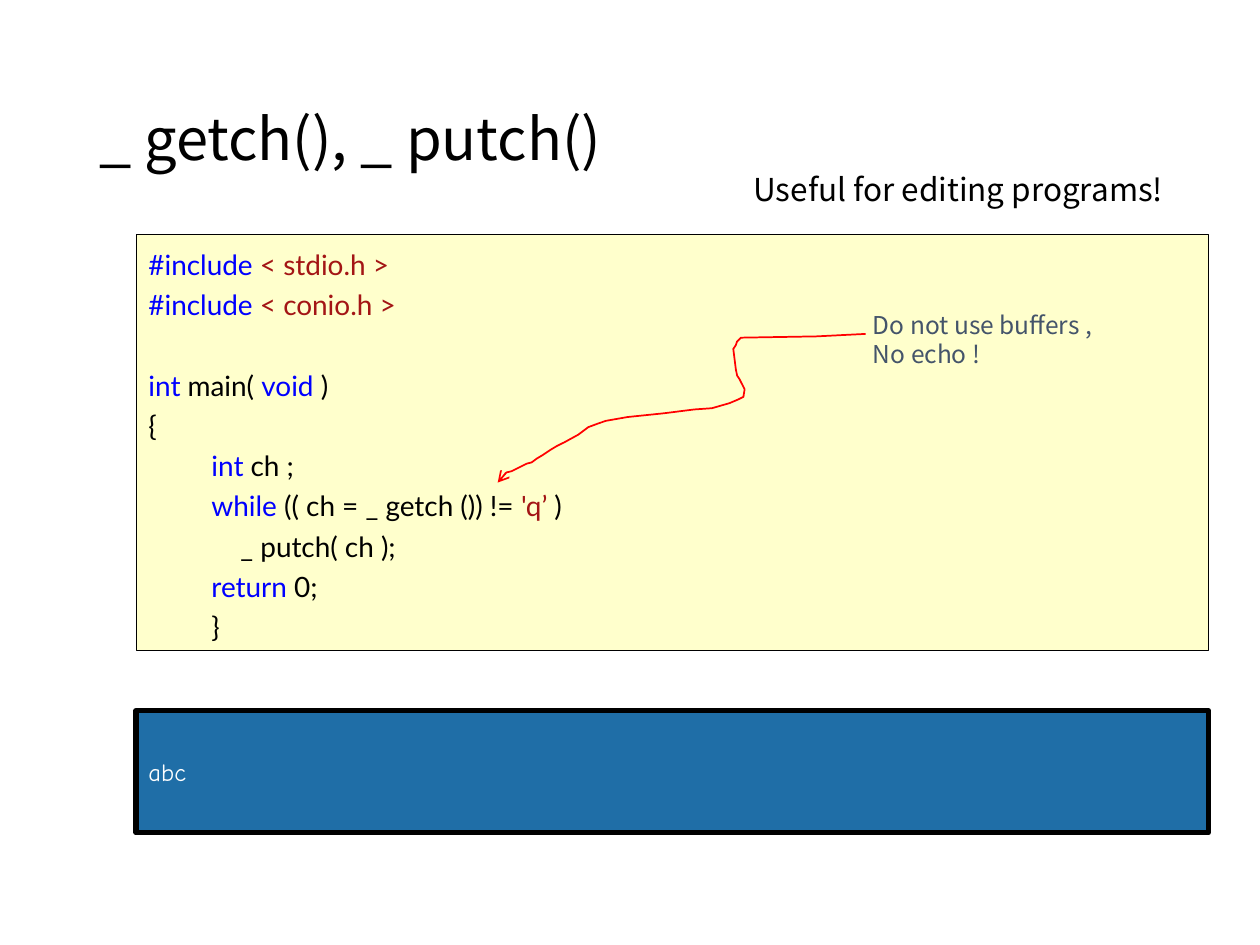
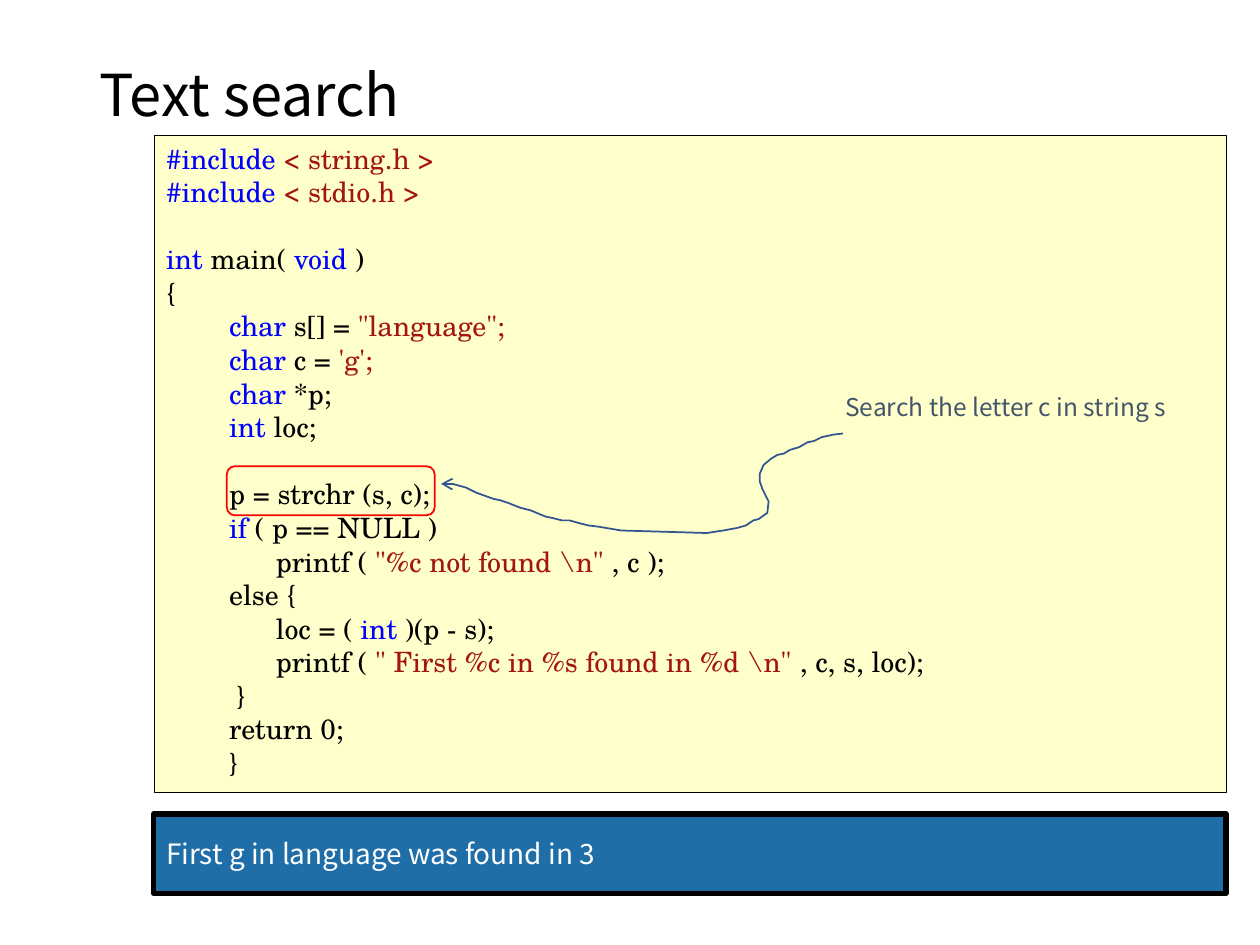
from dataclasses import dataclass

from lxml import etree
from pptx import Presentation
from pptx.dml.color import RGBColor
from pptx.enum import shapes, text
from pptx.oxml.ns import qn
from pptx.util import Inches, Pt

# Shared look
SANS, LATO, COMIC, SCHOLA = "Noto Sans CJK KR", "Lato", "Comic Neue", "TeX Gyre Schola"
BLACK, WHITE, RED = "000000", "FFFFFF", "FF0000"
KEYWORD, LITERAL = "0000FF", "A31515"
PAPER, SCREEN, NOTE, NAVY = "FFFFCC", "1F6EA7", "44546A", "325491"
CODE_SIZE = 16
PANEL_WIDTH = 8.51
BODY = 0.5  # indent of a function body


@dataclass(frozen=True)
class Box:
    left: float
    top: float
    width: float
    height: float

    def emu(self) -> list:
        return [Inches(v) for v in (self.left, self.top, self.width, self.height)]


@dataclass(frozen=True)
class Run:
    words: str
    color: str = BLACK


@dataclass(frozen=True)
class Line:
    runs: tuple
    indent: float = 0
    gap: float = 0  # line heights left free above


@dataclass(frozen=True)
class Style:
    font: str
    size: float
    spacing: float | None = None


@dataclass(frozen=True)
class Note:
    box: Box
    lines: tuple
    size: float = 14
    color: str = NOTE


@dataclass(frozen=True)
class Pointer:
    color: str
    points: tuple


def keyword(words: str) -> Run:
    return Run(words, KEYWORD)


def literal(words: str) -> Run:
    return Run(words, LITERAL)


def code(*runs, indent: float = 0, gap: float = 0) -> Line:
    return Line(tuple(Run(r) if isinstance(r, str) else r for r in runs), indent, gap)


def include(header: str) -> Line:
    return code(keyword("#include "), literal(f"< {header} >"))


def main_opening() -> tuple:
    return (code(keyword("int "), "main( ", keyword("void "), ")", gap=1), code("{"))


def rgb(color: str) -> RGBColor:
    return RGBColor.from_string(color)


def write(frame, lines: tuple, style: Style, anchor=text.MSO_ANCHOR.TOP) -> None:
    frame.word_wrap = True
    frame.vertical_anchor = anchor
    for number, line in enumerate(lines):
        paragraph = frame.add_paragraph() if number else frame.paragraphs[0]
        paragraph.alignment = text.PP_ALIGN.LEFT
        paragraph.line_spacing = style.spacing
        if line.gap:
            paragraph.space_before = Pt(line.gap * style.size * 1.2 * (style.spacing or 1))
        if line.indent:
            paragraph._p.get_or_add_pPr().set("marL", str(Inches(line.indent)))
        for part in line.runs:
            run = paragraph.add_run()
            run.text = part.words
            run.font.name = style.font
            run.font.size = Pt(style.size)
            run.font.color.rgb = rgb(part.color)


def outline(shape, color: str, width: float) -> None:
    shape.shadow.inherit = False
    shape.line.color.rgb = rgb(color)
    shape.line.width = Pt(width)


def add_title(slide, top: float, words: str) -> None:
    title = slide.shapes.add_textbox(*Box(0.69, top, 8.62, 1.45).emu())
    write(title.text_frame, (code(words),), Style(SANS, 33, 0.9), text.MSO_ANCHOR.MIDDLE)


def add_panel(slide, box: Box, fill: str, border: float, lines: tuple, style: Style,
              anchor=text.MSO_ANCHOR.TOP) -> None:
    panel = slide.shapes.add_shape(shapes.MSO_SHAPE.RECTANGLE, *box.emu())
    panel.fill.solid()
    panel.fill.fore_color.rgb = rgb(fill)
    outline(panel, BLACK, border)
    write(panel.text_frame, lines, style, anchor)


def add_listing(slide, box: Box, lines: tuple, style: Style) -> None:
    add_panel(slide, box, PAPER, 0.25, lines, style)


def add_console(slide, box: Box, output: str, style: Style) -> None:
    add_panel(slide, box, SCREEN, 3, (code(Run(output, WHITE)),), style,
              text.MSO_ANCHOR.MIDDLE)


def add_note(slide, note: Note) -> None:
    label = slide.shapes.add_textbox(*note.box.emu())
    lines = tuple(code(Run(words, note.color)) for words in note.lines)
    write(label.text_frame, lines, Style(SANS, note.size, Pt(note.size * 1.2)))


def add_pointer(slide, pointer: Pointer) -> None:
    start, *rest = [(Inches(x), Inches(y)) for x, y in pointer.points]
    builder = slide.shapes.build_freeform(*start)
    builder.add_line_segments(rest, close=False)
    stroke = builder.convert_to_shape()
    stroke.fill.background()
    outline(stroke, pointer.color, 1)
    etree.SubElement(stroke.line._get_or_add_ln(), qn("a:tailEnd"), type="arrow")


# Slide 1: unbuffered input
GETCH_CODE = (
    include("stdio.h"),
    include("conio.h"),
    *main_opening(),
    code(keyword("int "), "ch ;", indent=BODY),
    code(keyword("while "), "(( ch = _ getch ()) != ", literal("'q’ "), ")", indent=BODY),
    code("_ putch( ch );", indent=BODY + 0.23),
    code(keyword("return "), "0;", indent=BODY),
    code("}", indent=BODY),
)
GETCH_POINTER = Pointer(RED, (
    (6.87, 2.65), (6.48, 2.67), (5.88, 2.68), (5.85, 2.71), (5.84, 2.74), (5.82, 2.77),
    (5.84, 2.93), (5.85, 2.98), (5.87, 3.01), (5.91, 3.09), (5.9, 3.15), (5.86, 3.17),
    (5.79, 3.2), (5.65, 3.24), (5.51, 3.25), (5.27, 3.28), (4.98, 3.31), (4.81, 3.34),
    (4.75, 3.36), (4.67, 3.39), (4.59, 3.45), (4.48, 3.51), (4.42, 3.54), (4.37, 3.57),
    (4.31, 3.61), (4.26, 3.64), (4.22, 3.67), (4.18, 3.68), (4.12, 3.71), (4.06, 3.74),
    (4.02, 3.75), (3.99, 3.78), (3.97, 3.81), (3.95, 3.83),
))

# Slide 2: finding a letter
SEARCH_CODE = (
    include("string.h"),
    include("stdio.h"),
    *main_opening(),
    code(keyword("char "), "s[] = ", literal('"language";'), indent=BODY),
    code(keyword("char "), "c = ", literal("'g';"), indent=BODY),
    code(keyword("char "), "*p;", indent=BODY),
    code(keyword("int "), "loc;", indent=BODY),
    code("p = strchr (s, c);", indent=BODY, gap=1),
    code(keyword("if "), "( p == NULL )", indent=BODY),
    code("printf ( ", literal(r'"%c not found \n" '), ", c );", indent=BODY + 0.37),
    code("else {", indent=BODY),
    code("loc = ( ", keyword("int "), ")(p - s);", indent=BODY + 0.37),
    code("printf ( ", literal(r'" First %c in %s found in %d \n" '), ", c, s, loc);",
         indent=BODY + 0.37),
    code("}", indent=BODY + 0.06),
    code("return 0;", indent=BODY),
    code("}", indent=BODY),
)
SEARCH_POINTER = Pointer(NAVY, (
    (6.69, 3.44), (6.61, 3.45), (6.52, 3.47), (6.46, 3.5), (6.41, 3.51), (6.34, 3.55),
    (6.27, 3.57), (6.22, 3.6), (6.17, 3.61), (6.12, 3.64), (6.06, 3.69), (6.03, 3.76),
    (6.03, 3.82), (6.05, 3.88), (6.08, 3.94), (6.1, 3.98), (6.09, 4.07), (6.02, 4.12),
    (5.98, 4.13), (5.92, 4.17), (5.85, 4.19), (5.74, 4.21), (5.61, 4.23), (4.93, 4.21),
    (4.75, 4.18), (4.67, 4.17), (4.59, 4.15), (4.52, 4.13), (4.46, 4.13), (4.38, 4.11),
    (4.33, 4.1), (4.21, 4.05), (4.13, 4.03), (4.03, 3.99), (3.97, 3.97), (3.92, 3.96),
    (3.78, 3.91), (3.7, 3.87), (3.59, 3.84), (3.5, 3.84),
))


def build_getch(slide) -> None:
    add_title(slide, 0.4, "_ getch(), _ putch()")
    add_listing(slide, Box(1.08, 1.86, PANEL_WIDTH, 3.3), GETCH_CODE,
                Style(LATO, CODE_SIZE, 1.2))
    add_note(slide, Note(Box(6.83, 2.41, 2.03, 0.57), ("Do not use buffers ,", "No echo !")))
    add_pointer(slide, GETCH_POINTER)
    add_console(slide, Box(1.08, 5.64, PANEL_WIDTH, 0.97), "abc", Style(COMIC, 14))
    add_note(slide, Note(Box(5.88, 1.3, 3.6, 0.4), ("Useful for editing programs!",), 18, BLACK))


def build_search(slide) -> None:
    add_title(slide, 0.05, "Text search")
    add_listing(slide, Box(1.22, 1.07, PANEL_WIDTH, 5.22), SEARCH_CODE,
                Style(SCHOLA, CODE_SIZE))
    call_frame = slide.shapes.add_shape(shapes.MSO_SHAPE.ROUNDED_RECTANGLE,
                                        *Box(1.8, 3.7, 1.65, 0.39).emu())
    call_frame.fill.background()
    outline(call_frame, RED, 1)
    add_pointer(slide, SEARCH_POINTER)
    add_note(slide, Note(Box(6.61, 3.06, 2.86, 0.34), ("Search the letter c in string s",)))
    add_console(slide, Box(1.22, 6.46, PANEL_WIDTH, 0.63),
                "First g in language was found in 3", Style(SANS, CODE_SIZE))


def main() -> None:
    deck = Presentation()
    deck.slide_width, deck.slide_height = Inches(10), Inches(7.5)
    for build in (build_getch, build_search):
        build(deck.slides.add_slide(deck.slide_layouts[6]))
    deck.save("out.pptx")


if __name__ == "__main__":
    main()
